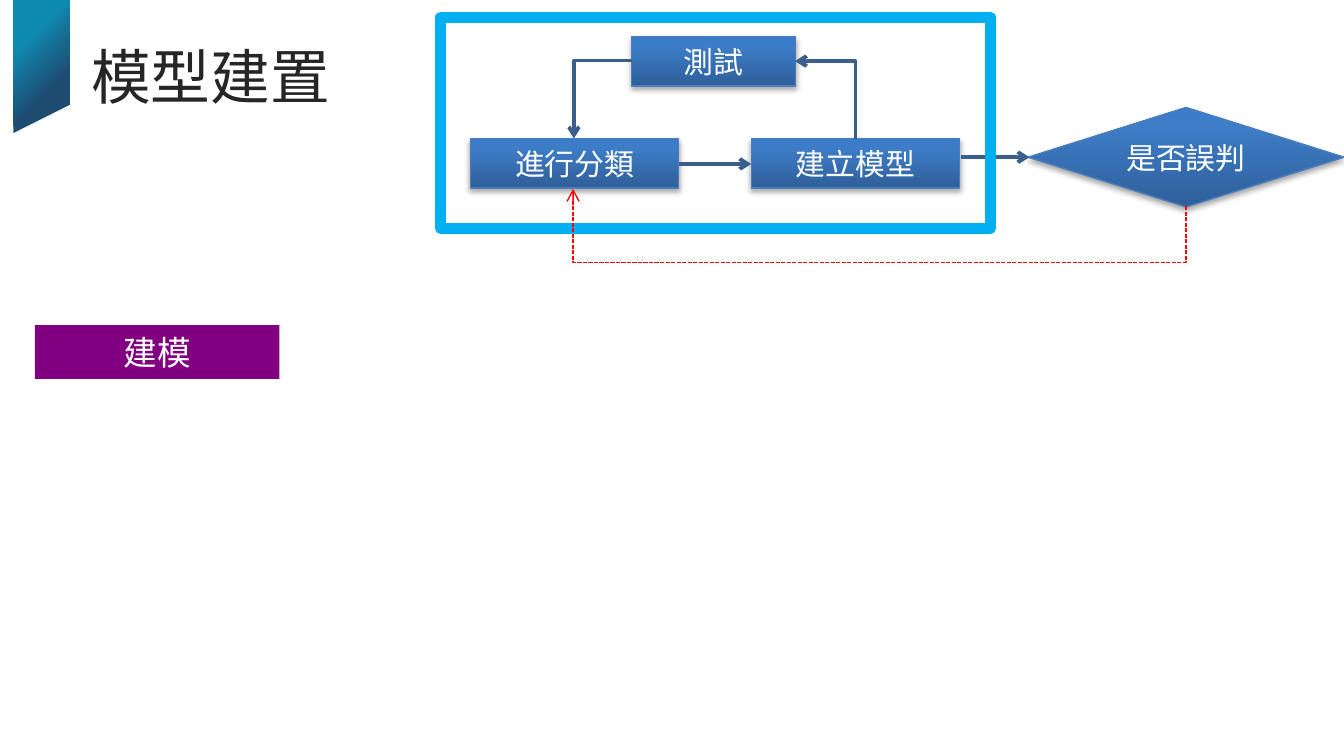
from dataclasses import dataclass
from typing import Optional

from lxml import etree
from pptx import Presentation
from pptx.dml.color import RGBColor
from pptx.enum.dml import MSO_LINE_DASH_STYLE as DASH
from pptx.enum.shapes import MSO_CONNECTOR as CONN, MSO_SHAPE as SHAPE
from pptx.enum.text import MSO_ANCHOR as ANCHOR, PP_ALIGN as ALIGN
from pptx.oxml.ns import qn
from pptx.util import Inches, Pt

NODE_STOPS = [(0, "2F5F99"), (80, "3D7CC7"), (100, "3A7CCB")]
RIBBON_STOPS = [(32, "0F8AB1"), (70, "1E4B70")]
UPWARD = ("lin", {"ang": "16200000", "scaled": "0"})
ARROW_COLOR = "3A5F8C"


@dataclass
class Node:
    text: str
    left: float
    top: float
    width: float
    height: float = 0.37
    kind: SHAPE = SHAPE.RECTANGLE


@dataclass
class Arrow:
    left: float
    top: float
    width: float
    height: float = 0
    geometry: str = "line"
    rotation: int = 0
    flip: str = ""
    color: str = ARROW_COLOR
    weight: float = 2
    dash: Optional[DASH] = None
    bend: Optional[int] = None


NODES = [
    Node("進行分類", 3.5, 1.03, 1.55),
    Node("建立模型", 5.59, 1.03, 1.55),
    Node("是否誤判", 7.65, 0.8, 2.35, 0.74, SHAPE.DIAMOND),
    Node("測試", 4.7, 0.27, 1.22),
]
ARROWS = [
    Arrow(5.05, 1.22, 0.54),
    Arrow(5.85, 0.52, 0.58, 0.45, "bentConnector2", 270, "flipV"),
    Arrow(4.27, 0.45, 0.43, 0.58, "bentConnector2", 180, "flipV"),
    Arrow(7.15, 1.17, 0.51),
]
FEEDBACK = Arrow(6.48, -0.81, 0.13, 4.56, "bentConnector3", 90, "flipH",
                 "FF0000", 0.75, DASH.SQUARE_DOT, -320900)


def rgb(color: str) -> RGBColor:
    return RGBColor.from_string(color)


def sub(parent, tag: str, **attrs):
    return etree.SubElement(parent, qn("a:" + tag), attrs)


def set_gradient(s, stops: list, direction: tuple) -> None:
    s.fill.gradient()
    grad = s._element.spPr.find(qn("a:gradFill"))
    for child in list(grad):
        grad.remove(child)
    gs_list = sub(grad, "gsLst")
    for position, color in stops:
        gs = sub(gs_list, "gs", pos=str(position * 1000))
        sub(gs, "srgbClr", val=color)
    tag, attrs = direction
    shade = sub(grad, tag, **attrs)
    if tag == "path":
        sub(shade, "fillToRect", r="100000", b="100000")


def set_line(s, color: str, weight: float) -> None:
    s.line.color.rgb = rgb(color)
    s.line.width = Pt(weight)


def write(s, text: str, size: float, font: str, color: str, align: ALIGN) -> None:
    tf = s.text_frame
    tf.word_wrap = True
    p = tf.paragraphs[0]
    p.text = text
    p.alignment = align
    p.font.size = Pt(size)
    p.font.name = font
    p.font.color.rgb = rgb(color)


def write_centred(s, text: str, size: float, font: str) -> None:
    write(s, text, size, font, "FFFFFF", ALIGN.CENTER)
    tf = s.text_frame
    tf.vertical_anchor = ANCHOR.MIDDLE
    tf.margin_top = tf.margin_bottom = 0


def add_box(slide, kind: SHAPE, *box: float):
    s = slide.shapes.add_shape(kind, *map(Inches, box))
    s.shadow.inherit = False
    return s


def add_node(slide, node: Node) -> None:
    s = add_box(slide, node.kind, node.left, node.top, node.width, node.height)
    set_gradient(s, NODE_STOPS, UPWARD)
    set_line(s, "4B7EBC", 0.75)
    effects = s._element.spPr.find(qn("a:effectLst"))
    shadow = sub(effects, "outerShdw", blurRad=str(Pt(3.1)), dist=str(Pt(1.8)),
                 dir="5400000", rotWithShape="0")
    sub(sub(shadow, "srgbClr", val="000000"), "alpha", val="35000")
    write_centred(s, node.text, 16, "Calibri")


def add_arrow(slide, arrow: Arrow) -> None:
    kind = CONN.STRAIGHT if arrow.geometry == "line" else CONN.ELBOW
    s = slide.shapes.add_connector(
        kind, Inches(arrow.left), Inches(arrow.top),
        Inches(arrow.left + arrow.width), Inches(arrow.top + arrow.height))
    set_line(s, arrow.color, arrow.weight)
    if arrow.dash:
        s.line.dash_style = arrow.dash
    sp_pr = s._element.spPr
    xfrm = sp_pr.find(qn("a:xfrm"))
    xfrm.set("rot", str(arrow.rotation * 60000))
    if arrow.flip:
        xfrm.set(arrow.flip, "1")
    geometry = sp_pr.find(qn("a:prstGeom"))
    geometry.set("prst", arrow.geometry)
    if arrow.bend is not None:
        sub(geometry.find(qn("a:avLst")), "gd", name="adj1", fmla=f"val {arrow.bend}")
    ln = sp_pr.find(qn("a:ln"))
    sub(ln, "round")
    sub(ln, "tailEnd", type="arrow")
    sub(sp_pr, "effectLst")


# Widescreen page, 16:9
prs = Presentation()
prs.slide_width = Inches(10)
prs.slide_height = prs.slide_width * 9 // 16
slide = prs.slides.add_slide(prs.slide_layouts[6])

# Corner ribbon
corners = [(Inches(x), Inches(y))
           for x, y in [(0.1, 0.99), (0.52, 0.78), (0.52, -0.09), (0.1, -0.09)]]
outline = slide.shapes.build_freeform(*corners[0], scale=1.0)
outline.add_line_segments(corners[1:], close=True)
ribbon = outline.convert_to_shape()
ribbon.shadow.inherit = False
set_gradient(ribbon, RIBBON_STOPS, ("path", {"path": "circle"}))
ribbon.line.fill.background()

# Title
title = slide.shapes.add_textbox(*map(Inches, (0.58, 0.25, 8.06, 1.28)))
write(title, "模型建置", 32, "Cabin", "262626", ALIGN.LEFT)

# Stage label
stage = add_box(slide, SHAPE.RECTANGLE, 0.26, 2.42, 1.82, 0.4)
stage.fill.solid()
stage.fill.fore_color.rgb = rgb("800080")
stage.line.fill.background()
write_centred(stage, "建模", 18, "Noto Sans CJK SC")

# Flowchart
for node in NODES:
    add_node(slide, node)
for arrow in ARROWS:
    add_arrow(slide, arrow)

# Frame around the modelling loop
frame = add_box(slide, SHAPE.RECTANGLE, 3.28, 0.13, 4.09, 1.57)
frame.fill.background()
set_line(frame, "00B0F0", 6)
sub(frame._element.spPr.find(qn("a:ln")), "round")

# Feedback path
add_arrow(slide, FEEDBACK)

prs.save("out.pptx")
